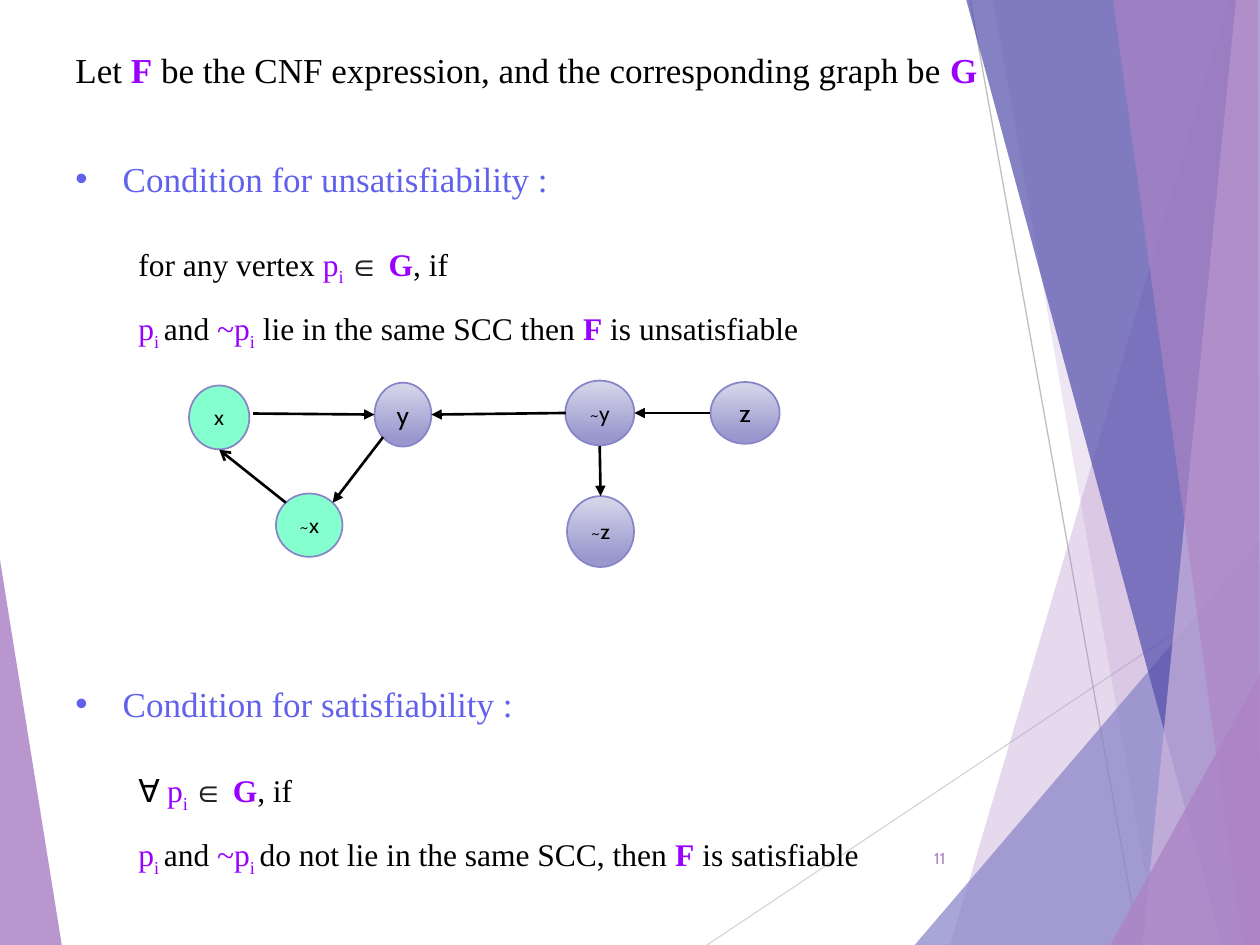
"""Build the slide on conditions for satisfiability of a CNF expression."""
from typing import NamedTuple

from lxml import etree
from pptx import Presentation
from pptx.dml.color import RGBColor
from pptx.enum.shapes import MSO_CONNECTOR, MSO_SHAPE
from pptx.enum.text import MSO_ANCHOR, PP_ALIGN
from pptx.oxml.ns import qn
from pptx.util import Pt

STRAIGHT = MSO_CONNECTOR.STRAIGHT
OVAL = MSO_SHAPE.OVAL
MIDDLE = MSO_ANCHOR.MIDDLE
LEFT, CENTER, RIGHT = PP_ALIGN.LEFT, PP_ALIGN.CENTER, PP_ALIGN.RIGHT

COLORS = {
    "black": "000000", "symbol": "202124", "heading": "6161EB", "accent": "9900FF",
    "purple": "AD84C6", "lilac": "CEB5DD", "blue": "8784C7", "indigo": "524EAB",
    "mint": "85FFCE", "top": "D7D7EA", "bottom": "9997CE",
    "light": "D9D9D9", "gray": "BFBFBF",
}
SERIF, SANS, SYMBOL = "Times New Roman", "Cabin", "Arial"


class Facet(NamedTuple):
    points: list
    color: str
    opacity: int


class Node(NamedTuple):
    label: str
    left: float
    top: float
    width: float
    height: float
    size: int
    marked: bool = False


class Line(NamedTuple):
    start: tuple
    end: tuple
    color: str = "black"
    width: float = 1.5
    head: str = "triangle"


class Piece(NamedTuple):
    text: str
    color: str = "black"
    bold: bool = False
    subscript: bool = False
    font: str = SERIF


class Block(NamedTuple):
    pieces: list
    size: int = 20
    before: float = 0
    spacing: float = 1
    margin: float = 0
    bullet: bool = False


FACETS = [
    Facet([(0, 320), (35.3, 540), (0, 540)], "purple", 85),
    Facet([(702, 0), (543, 540), (720, 540), (720, 0)], "purple", 30),
    Facet([(567.4, 0), (661.7, 540), (720, 540), (720, 0)], "purple", 20),
    Facet([(522.7, 540), (720, 309), (720, 540)], "blue", 72),
    Facet([(552.2, 0), (698.4, 540), (720, 540), (720, 0)], "indigo", 70),
    Facet([(706.3, 0), (653, 540), (720, 540), (720, 0)], "lilac", 70),
    Facet([(636, 0), (710, 540), (720, 540), (718.6, 0)], "purple", 65),
    Facet([(634.5, 540), (720, 385.2), (720, 540)], "purple", 80),
]
BACKGROUND_LINES = [
    Line((404, 540), (720, 329), "light", 0.75, "none"),
    Line((554.4, 0), (651, 540), "gray", 0.75, "none"),
]
NODES = [
    Node("x", 108, 220.3, 34.5, 36.5, 12, True),
    Node("y", 214, 218.7, 32.5, 36.5, 14),
    Node("~x", 157.7, 282, 38, 36.2, 12, True),
    Node("~y", 323, 217.5, 39.5, 37, 12),
    Node("z", 406, 218.3, 39.5, 35.3, 14),
    Node("~z", 324, 283.5, 38.3, 40.5, 12),
]
EDGES = [
    Line((144.7, 236.3), (214, 236.9)),
    Line((218.9, 249.8), (190.1, 287.3)),
    Line((163.4, 287.3), (125.3, 257), head="arrow"),
    Line((406, 236), (362.5, 236)),
    Line((342.7, 254.9), (343.2, 283.5)),
    Line((323.3, 236), (246.5, 236.9)),
]

F = Piece("F", "accent", True)
G = Piece("G", "accent", True)
P, NOT_P = Piece("p", "accent"), Piece(" ~p", "accent")
INDEX, INDEX_GAP = Piece("i", "accent", subscript=True), Piece("i ", "accent", subscript=True)
ELEMENT = Piece("∈ ", "symbol", font=SYMBOL)
BODY = {"size": 18, "spacing": 1.5, "margin": 36}
HEADING = {"margin": 27, "bullet": True}
BLOCKS = [
    Block([Piece("Let "), F, Piece(" be the CNF expression, and the corresponding graph be "), G]),
    Block([Piece("Condition for unsatisfiability :", "heading")], before=38, **HEADING),
    Block([Piece("for any vertex "), P, INDEX_GAP, ELEMENT, G, Piece(", if")], before=13.5, **BODY),
    Block([P, INDEX_GAP, Piece("and"), NOT_P, INDEX, Piece(" lie in the same SCC then "),
           F, Piece(" is unsatisfiable")], **BODY),
    Block([Piece("Condition for satisfiability :", "heading")], before=189, **HEADING),
    Block([Piece("∀ ", font=SANS), P, INDEX_GAP, ELEMENT, G, Piece(", if")], before=14, **BODY),
    Block([P, INDEX_GAP, Piece("and"), NOT_P, INDEX_GAP,
           Piece("do not lie in the same SCC, then "), F, Piece(" is satisfiable")], **BODY),
]


def rgb(name: str) -> RGBColor:
    """Return the named colour."""
    return RGBColor.from_string(COLORS[name])


def add_text(paragraph, text: str, *, size: float, color: str = "black", font: str = SANS,
             bold: bool = False, subscript: bool = False, align=CENTER) -> None:
    """Add one formatted run to a paragraph."""
    paragraph.alignment = align
    run = paragraph.add_run()
    run.text = text
    run.font.size, run.font.name, run.font.bold = Pt(size), font, bold
    run.font.color.rgb = rgb(color)
    if subscript:
        run._r.get_or_add_rPr().set("baseline", "-25000")


def add_facet(slide, facet: Facet) -> None:
    """Draw one translucent background polygon."""
    points = [(Pt(x), Pt(y)) for x, y in facet.points]
    builder = slide.shapes.build_freeform(*points[0])
    builder.add_line_segments(points[1:])
    shape = builder.convert_to_shape()
    shape.shadow.inherit = False
    shape.line.fill.background()
    shape.fill.solid()
    shape.fill.fore_color.rgb = rgb(facet.color)
    color = shape._element.spPr.find(qn("a:solidFill"))[0]
    etree.SubElement(color, qn("a:alpha"), val=str(facet.opacity * 1000))


def add_line(slide, line: Line) -> None:
    """Draw a straight line with its arrowhead."""
    ends = [Pt(value) for value in line.start + line.end]
    connector = slide.shapes.add_connector(STRAIGHT, *ends)
    connector.line.color.rgb = rgb(line.color)
    connector.line.width = Pt(line.width)
    properties = connector._element.spPr
    etree.SubElement(properties.find(qn("a:ln")), qn("a:tailEnd"), type=line.head)
    etree.SubElement(properties, qn("a:effectLst"))


def clear_insets(frame) -> None:
    """Remove the margins of a text frame and centre it vertically."""
    frame.margin_left = frame.margin_right = frame.margin_top = frame.margin_bottom = 0
    frame.vertical_anchor = MIDDLE


def add_node(slide, node: Node) -> None:
    """Draw one labelled vertex of the graph."""
    shape = slide.shapes.add_shape(OVAL, Pt(node.left), Pt(node.top), Pt(node.width), Pt(node.height))
    shape.shadow.inherit = False
    shape.line.color.rgb = rgb("blue")
    shape.line.width = Pt(1)
    if node.marked:
        shape.fill.solid()
        shape.fill.fore_color.rgb = rgb("mint")
    else:
        shape.fill.gradient()
        shape.fill.gradient_angle = 270
        for stop, color, position in zip(shape.fill.gradient_stops, ("top", "bottom"), (0, 0.88)):
            stop.color.rgb, stop.position = rgb(color), position
    clear_insets(shape.text_frame)
    shape.text_frame.word_wrap = False
    add_text(shape.text_frame.paragraphs[0], node.label, size=node.size)


def add_block(paragraph, block: Block) -> None:
    """Fill one paragraph of the main text."""
    paragraph.space_before, paragraph.line_spacing = Pt(block.before), block.spacing
    properties = paragraph._p.get_or_add_pPr()
    properties.set("marL", str(Pt(block.margin)))
    properties.set("indent", str(-Pt(block.margin) if block.bullet else 0))
    if block.bullet:
        etree.SubElement(properties, qn("a:buFont"), typeface=SYMBOL)
        etree.SubElement(properties, qn("a:buChar"), char="•")
    for piece in block.pieces:
        add_text(paragraph, size=block.size, align=LEFT, **piece._asdict())


def main() -> None:
    """Build and save the presentation."""
    presentation = Presentation()
    presentation.slide_width, presentation.slide_height = Pt(720), Pt(540)
    slide = presentation.slides.add_slide(presentation.slide_layouts[6])
    add_facet(slide, FACETS[0])
    for line in BACKGROUND_LINES:
        add_line(slide, line)
    for facet in FACETS[1:]:
        add_facet(slide, facet)
    number = slide.shapes.add_textbox(Pt(507.6), Pt(476), Pt(32.6), Pt(28.8)).text_frame
    clear_insets(number)
    number.word_wrap = True
    add_text(number.paragraphs[0], "11", size=9, color="purple", align=RIGHT)
    frame = slide.shapes.add_textbox(Pt(36), Pt(23), Pt(588), Pt(498)).text_frame
    frame.word_wrap = True
    frame.margin_top = Pt(5)
    for index, block in enumerate(BLOCKS):
        add_block(frame.add_paragraph() if index else frame.paragraphs[0], block)
    for node in NODES:
        add_node(slide, node)
    for edge in EDGES:
        add_line(slide, edge)
    presentation.save("out.pptx")


if __name__ == "__main__":
    main()
